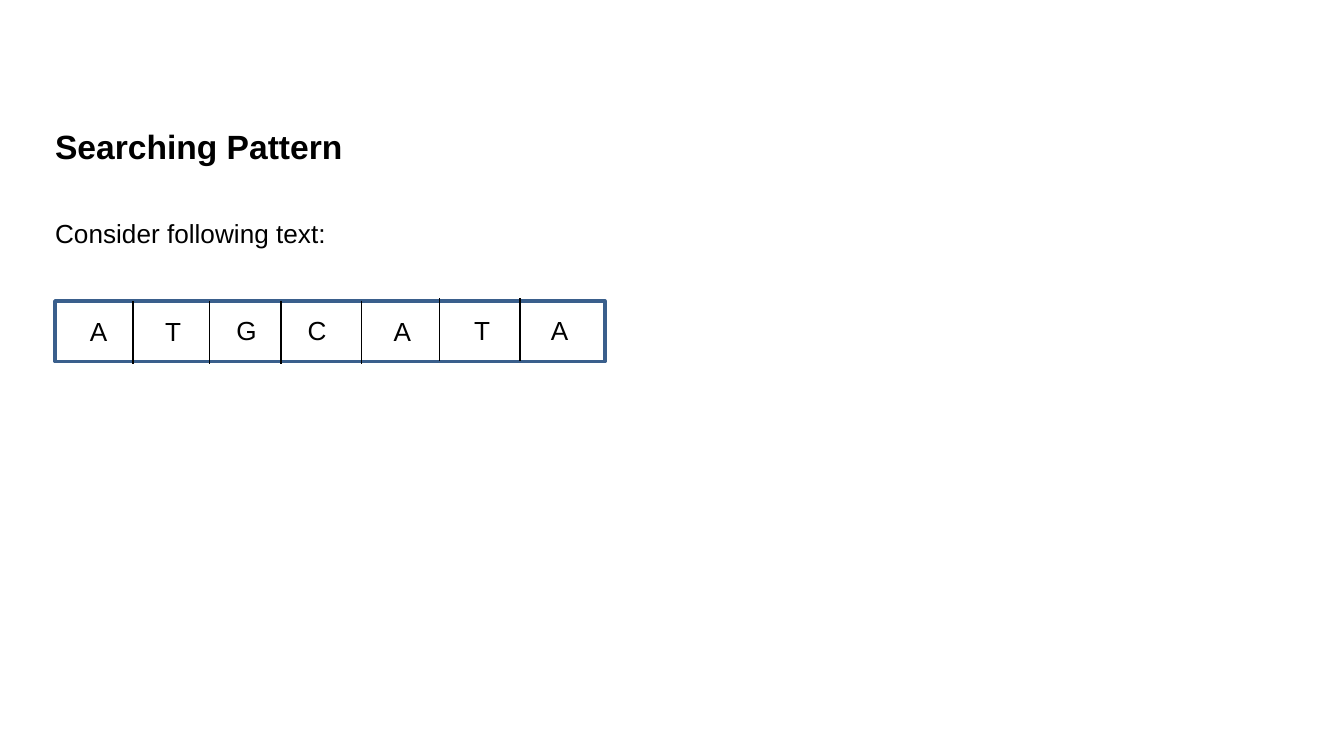
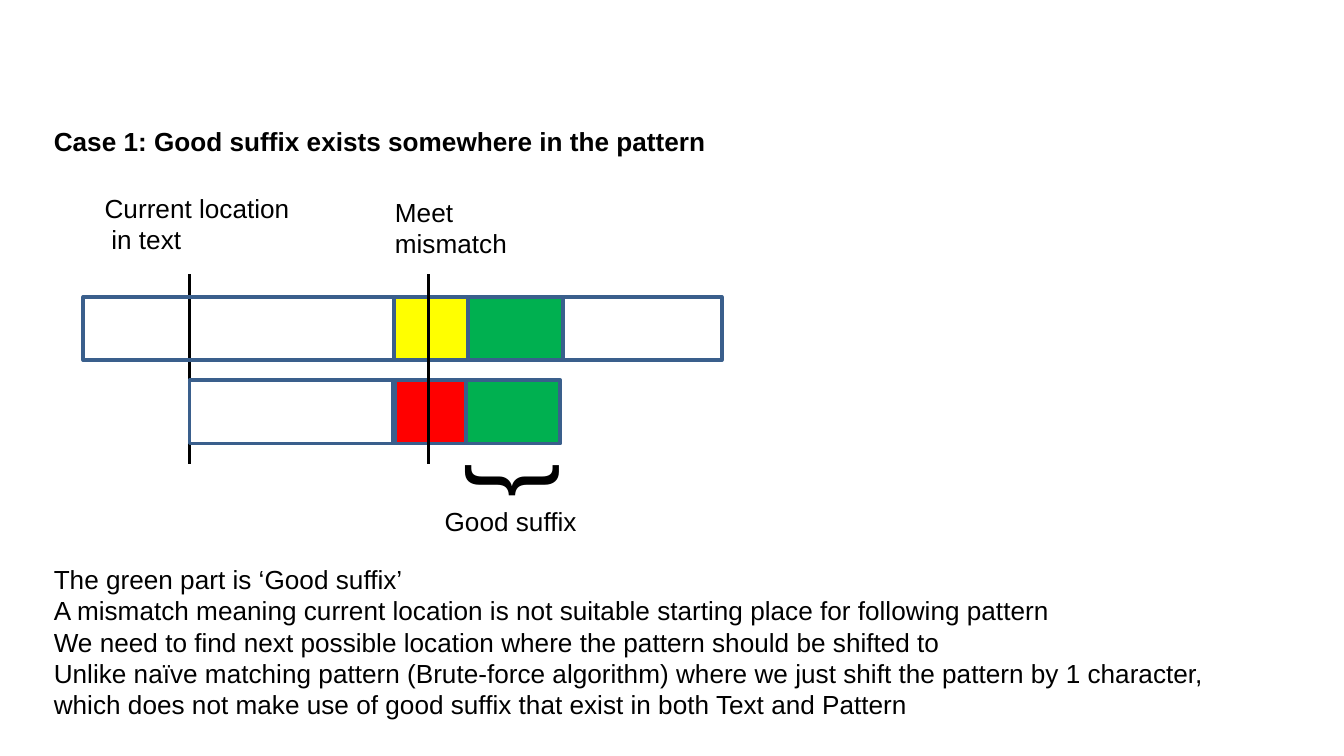
"""Build two slides on searching for a pattern in a text."""
from lxml import etree
from pptx import Presentation
from pptx.dml.color import RGBColor
from pptx.enum.shapes import MSO_CONNECTOR, MSO_SHAPE
from pptx.enum.text import MSO_ANCHOR, MSO_AUTO_SIZE, PP_ALIGN
from pptx.oxml.ns import qn
from pptx.util import Inches, Pt

RECT = MSO_SHAPE.RECTANGLE
LINE = MSO_CONNECTOR.STRAIGHT
TOP = MSO_ANCHOR.TOP
LEFT = PP_ALIGN.LEFT
FIXED = MSO_AUTO_SIZE.NONE

THEME = {
    "font": "Arial",
    "ink": RGBColor(0, 0, 0),
    "edge": RGBColor(0x3A, 0x5F, 0x8C),
    "green": RGBColor(0x00, 0xB0, 0x50),
    "yellow": RGBColor(0xFF, 0xFF, 0x00),
    "red": RGBColor(0xFF, 0x00, 0x00),
    "head": Pt(18),
    "text": Pt(14),
    "brace": Pt(54),
    "border": Pt(2),
    "thin": Pt(0.75),
    "mark": Pt(1.5),
}
FRAME = {
    "word_wrap": False,
    "auto_size": FIXED,
    "vertical_anchor": TOP,
    "margin_left": Inches(0.1),
    "margin_right": Inches(0.1),
    "margin_top": Inches(0.05),
    "margin_bottom": Inches(0.05),
}
PARA = {"alignment": LEFT, "line_spacing": 1.0, "space_before": Pt(0), "space_after": Pt(0)}


def write(box, place, lines, size=THEME["text"], bold=False):
    """Place a text shape and fill it with plain paragraphs."""
    for name, value in zip(("left", "top", "width", "height"), place):
        setattr(box, name, Inches(value))
    frame = box.text_frame
    for name, value in FRAME.items():
        setattr(frame, name, value)
    for i, line in enumerate(lines):
        para = frame.add_paragraph() if i else frame.paragraphs[0]
        props = para._p.get_or_add_pPr()
        props.set("marL", "0")
        props.set("indent", "0")
        etree.SubElement(props, qn("a:buNone"))
        for name, value in PARA.items():
            setattr(para, name, value)
        run = para.add_run()
        run.text = line
        look = {"name": THEME["font"], "size": size, "bold": bold}
        for name, value in look.items():
            setattr(run.font, name, value)
        run.font.color.rgb = THEME["ink"]
    return frame


def draw(shapes, place, color, width, fill=None, line=False):
    """Add a box, or a line between two points, without a shadow."""
    spots = [Inches(value) for value in place]
    if line:
        shape = shapes.add_connector(LINE, *spots)
    else:
        shape = shapes.add_shape(RECT, *spots)
        shape.shadow.inherit = False
        if fill:
            shape.fill.solid()
            shape.fill.fore_color.rgb = THEME[fill]
        else:
            shape.fill.background()
    shape.line.color.rgb = THEME[color]
    shape.line.width = THEME[width]
    if line:
        etree.SubElement(shape._element.spPr, qn("a:effectLst"))


deck = Presentation()
deck.slide_width = Inches(10)
deck.slide_height = deck.slide_width * 9 // 16
layout = deck.slide_layouts[1]

slide = deck.slides.add_slide(layout)
shapes = slide.shapes
write(shapes.title, (0.31, 0.89, 2.36, 0.4), ["Searching Pattern"], THEME["head"], True)
write(slide.placeholders[1], (0.31, 1.57, 2.23, 0.34), ["Consider following text:"])
draw(shapes, (0.41, 2.24, 4.09, 0.45), "edge", "border")
for x, y in ((0.99, 2.24), (1.56, 2.24), (2.09, 2.24), (2.69, 2.24), (3.27, 2.22), (3.87, 2.22)):
    draw(shapes, (x, y, x, y + 0.47), "ink", "thin", line=True)
cells = ((0.57, 2.3), (1.13, 2.3), (1.66, 2.29), (2.19, 2.29), (2.83, 2.3), (3.43, 2.29), (4, 2.29))
for letter, (x, y) in zip("ATGCATA", cells):
    write(shapes.add_textbox(0, 0, 0, 0), (x, y, 0.33, 0.34), [letter])

slide = deck.slides.add_slide(layout)
shapes = slide.shapes
title = "Case 1: Good suffix exists somewhere in the pattern"
write(shapes.title, (0.3, 0.88, 5.07, 0.34), [title], bold=True)
write(slide.placeholders[1], (0.3, 4.14, 8.86, 1.28), [
    "The green part is ‘Good suffix’",
    "A mismatch meaning current location is not suitable starting place for following pattern",
    "We need to find next possible location where the pattern should be shifted to",
    "Unlike naïve matching pattern (Brute-force algorithm) where we just shift the pattern by 1 character,",
    "which does not make use of good suffix that exist in both Text and Pattern",
])
draw(shapes, (1.41, 2.04, 1.41, 3.45), "ink", "mark", line=True)
bars = (
    (2.83, ((3.46, 0.71, "green"), (2.92, 0.55, "red"), (1.41, 1.53, None))),
    (2.21, ((0.62, 2.31, None), (2.93, 0.55, "yellow"), (3.48, 0.71, "green"), (4.19, 1.18, None))),
)
for y, parts in bars:
    for x, width, fill in parts:
        draw(shapes, (x, y, width, 0.47), "edge", "border", fill)
draw(shapes, (3.19, 2.04, 3.19, 3.45), "ink", "mark", line=True)
labels = (
    ((3.21, 3.71, 1.19, 0.34), ["Good suffix"]),
    ((2.84, 1.41, 1.04, 0.57), ["Meet", "mismatch"]),
    ((0.68, 1.38, 1.58, 0.57), ["Current location", "in text"]),
)
for place, lines in labels:
    frame = write(shapes.add_textbox(0, 0, 0, 0), place, lines)
frame.paragraphs[1]._p.pPr.set("marL", str(Inches(0.05)))
brace = shapes.add_textbox(0, 0, 0, 0)
write(brace, (3.53, 3.11, 0.37, 1.01), ["{"], THEME["brace"]).word_wrap = True
brace.rotation = 270

deck.save("out.pptx")
